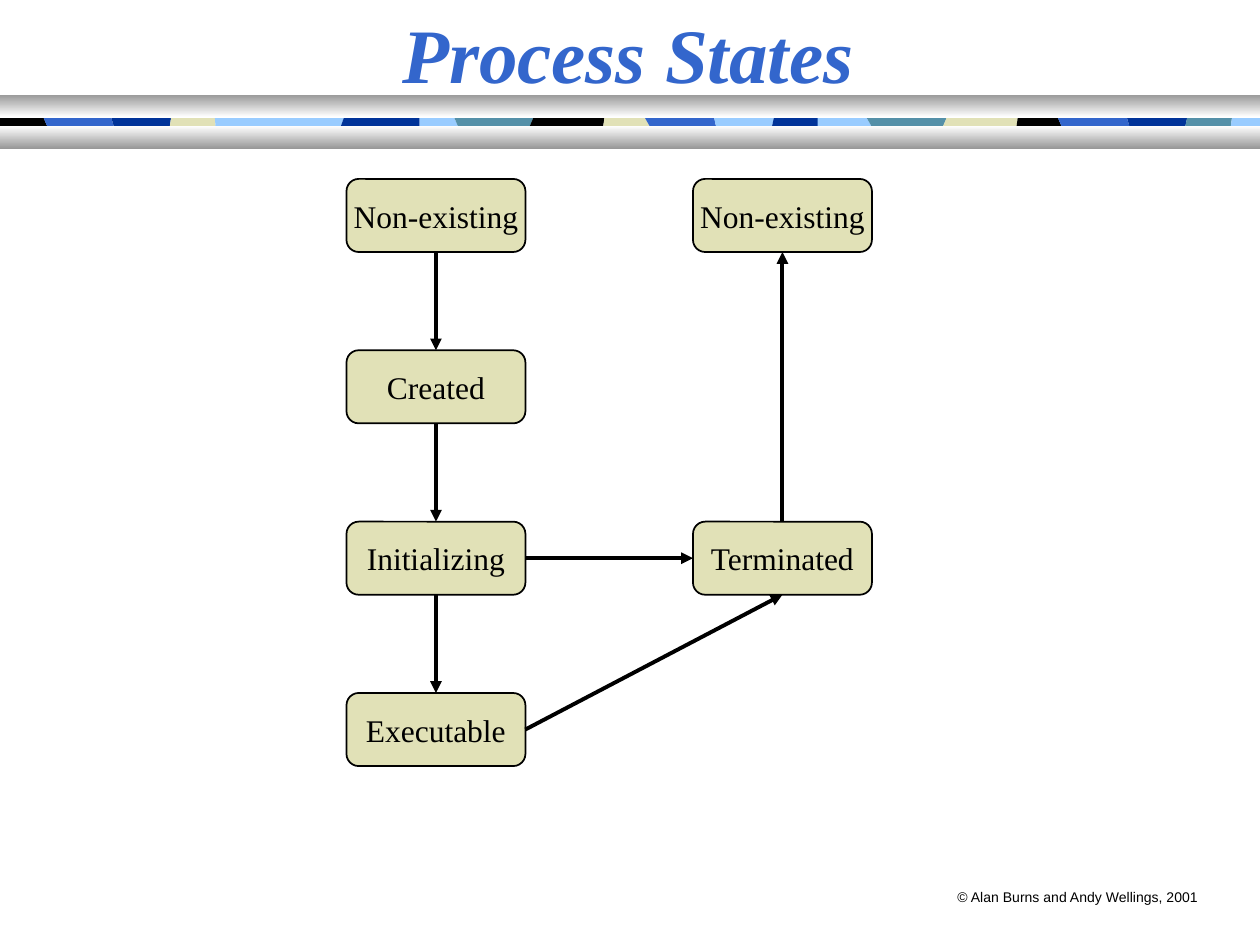
from dataclasses import dataclass
from itertools import pairwise

from lxml import etree
from pptx import Presentation
from pptx.dml.color import RGBColor
from pptx.enum import shapes, text
from pptx.oxml import ns
from pptx.util import Inches, Pt


@dataclass(frozen=True)
class Theme:
    black: RGBColor = RGBColor(0x00, 0x00, 0x00)
    white: RGBColor = RGBColor(0xFF, 0xFF, 0xFF)
    grey: RGBColor = RGBColor(0x98, 0x98, 0x98)
    blue: RGBColor = RGBColor(0x33, 0x66, 0xCC)
    navy: RGBColor = RGBColor(0x00, 0x33, 0x99)
    sky: RGBColor = RGBColor(0x99, 0xCC, 0xFF)
    teal: RGBColor = RGBColor(0x54, 0x90, 0xA8)
    sand: RGBColor = RGBColor(0xE1, 0xE1, 0xB7)
    serif: str = "Times New Roman"
    sans: str = "Arial"
    title_size: Pt = Pt(44)
    state_size: Pt = Pt(18)
    credit_size: Pt = Pt(8)


theme = Theme()


def write(frame, words, font_name, size, color, align):
    paragraph = frame.paragraphs[0]
    paragraph.alignment = align
    run = paragraph.add_run()
    run.text = words
    run.font.name = font_name
    run.font.size = size
    run.font.color.rgb = color
    return run


prs = Presentation()
prs.slide_width, prs.slide_height = Inches(10), Inches(7.5)
slide = prs.slides.add_slide(prs.slide_layouts[6])

# Mosaic strip: each tile's colour, middle of its right edge, and how far
# that edge leans to the right from top to bottom
strip_top, strip_bottom = 0.85, 1.13
tiles = [
    (theme.black, 0.37, 0.12), (theme.blue, 0.9, 0.08), (theme.navy, 1.35, -0.04),
    (theme.sand, 1.71, 0.02), (theme.sky, 2.71, -0.1), (theme.navy, 3.33, 0),
    (theme.sky, 3.63, 0.12), (theme.teal, 4.21, -0.12), (theme.black, 4.79, -0.04),
    (theme.sand, 5.15, 0.16), (theme.blue, 5.68, 0.06), (theme.sky, 6.13, -0.06),
    (theme.navy, 6.49, 0), (theme.sky, 6.91, 0.16), (theme.teal, 7.49, -0.12),
    (theme.sand, 8.07, -0.04), (theme.black, 8.42, 0.12), (theme.blue, 8.96, 0.08),
    (theme.navy, 9.41, -0.06), (theme.teal, 9.77, -0.04), (theme.sky, 10, 0),
]
for (_, left, left_lean), (color, right, right_lean) in pairwise([(None, 0, 0), *tiles]):
    corners = [
        (left - left_lean / 2, strip_top),
        (right - right_lean / 2, strip_top),
        (right + right_lean / 2, strip_bottom),
        (left + left_lean / 2, strip_bottom),
    ]
    points = [(Inches(x), Inches(y)) for x, y in corners]
    outline = slide.shapes.build_freeform(*points[0])
    outline.add_line_segments(points[1:], close=True)
    tile = outline.convert_to_shape()
    tile.shadow.inherit = False
    tile.fill.solid()
    tile.fill.fore_color.rgb = color
    tile.line.fill.background()

# Shaded bars above and below the visible part of the strip
for top, shades in [(0.75, (theme.grey, theme.white)), (1, (theme.white, theme.grey))]:
    bar = slide.shapes.add_shape(
        shapes.MSO_SHAPE.RECTANGLE, 0, Inches(top), Inches(10), Inches(0.18))
    bar.shadow.inherit = False
    bar.line.fill.background()
    bar.fill.gradient()
    bar.fill.gradient_angle = 270
    for stop, shade in zip(bar.fill.gradient_stops, shades):
        stop.color.rgb = shade

credit = slide.shapes.add_textbox(Inches(7.5), Inches(7), Inches(2.12), Inches(0.24))
credit.text_frame.word_wrap = False
write(credit.text_frame, "© Alan Burns and Andy Wellings, 2001", theme.sans,
      theme.credit_size, theme.black, text.PP_ALIGN.LEFT)

# States by (column, row)
states = {
    (0, 0): "Non-existing",
    (1, 0): "Non-existing",
    (0, 1): "Created",
    (0, 2): "Initializing",
    (1, 2): "Terminated",
    (0, 3): "Executable",
}
state_boxes = {}
for (column, row), label in states.items():
    box = slide.shapes.add_shape(
        shapes.MSO_SHAPE.ROUNDED_RECTANGLE,
        Inches(2.75 + 2.75 * column), Inches(1.42 + 1.36 * row),
        Inches(1.42), Inches(0.58))
    box.shadow.inherit = False
    box.fill.solid()
    box.fill.fore_color.rgb = theme.sand
    box.line.color.rgb = theme.black
    box.line.width = Pt(1)
    box.text_frame.word_wrap = False
    box.text_frame.vertical_anchor = text.MSO_ANCHOR.MIDDLE
    write(box.text_frame, label, theme.serif, theme.state_size, theme.black,
          text.PP_ALIGN.CENTER)
    state_boxes[column, row] = box

# Transitions between connection sites of the state boxes
TOP, LEFT, BOTTOM, RIGHT = range(4)
transitions = [
    ((0, 0), BOTTOM, (0, 1), TOP),
    ((0, 1), BOTTOM, (0, 2), TOP),
    ((0, 2), BOTTOM, (0, 3), TOP),
    ((0, 2), RIGHT, (1, 2), LEFT),
    ((0, 3), RIGHT, (1, 2), BOTTOM),
    ((1, 2), TOP, (1, 0), BOTTOM),
]
for source, exit_side, target, entry_side in transitions:
    arrow = slide.shapes.add_connector(shapes.MSO_CONNECTOR.STRAIGHT, 0, 0, 0, 0)
    arrow.begin_connect(state_boxes[source], exit_side)
    arrow.end_connect(state_boxes[target], entry_side)
    arrow.line.color.rgb = theme.black
    arrow.line.width = Pt(2.25)
    etree.SubElement(arrow.line._get_or_add_ln(), ns.qn("a:tailEnd"), type="triangle")
    etree.SubElement(arrow._element.spPr, ns.qn("a:effectLst"))

title = slide.shapes.add_textbox(0, 0, Inches(9.97), Inches(0.83))
title.text_frame.word_wrap = True
title.text_frame.vertical_anchor = text.MSO_ANCHOR.MIDDLE
title_run = write(title.text_frame, "Process States", theme.serif, theme.title_size,
                  theme.blue, text.PP_ALIGN.CENTER)
title_run.font.bold = True
title_run.font.italic = True

prs.save("out.pptx")
